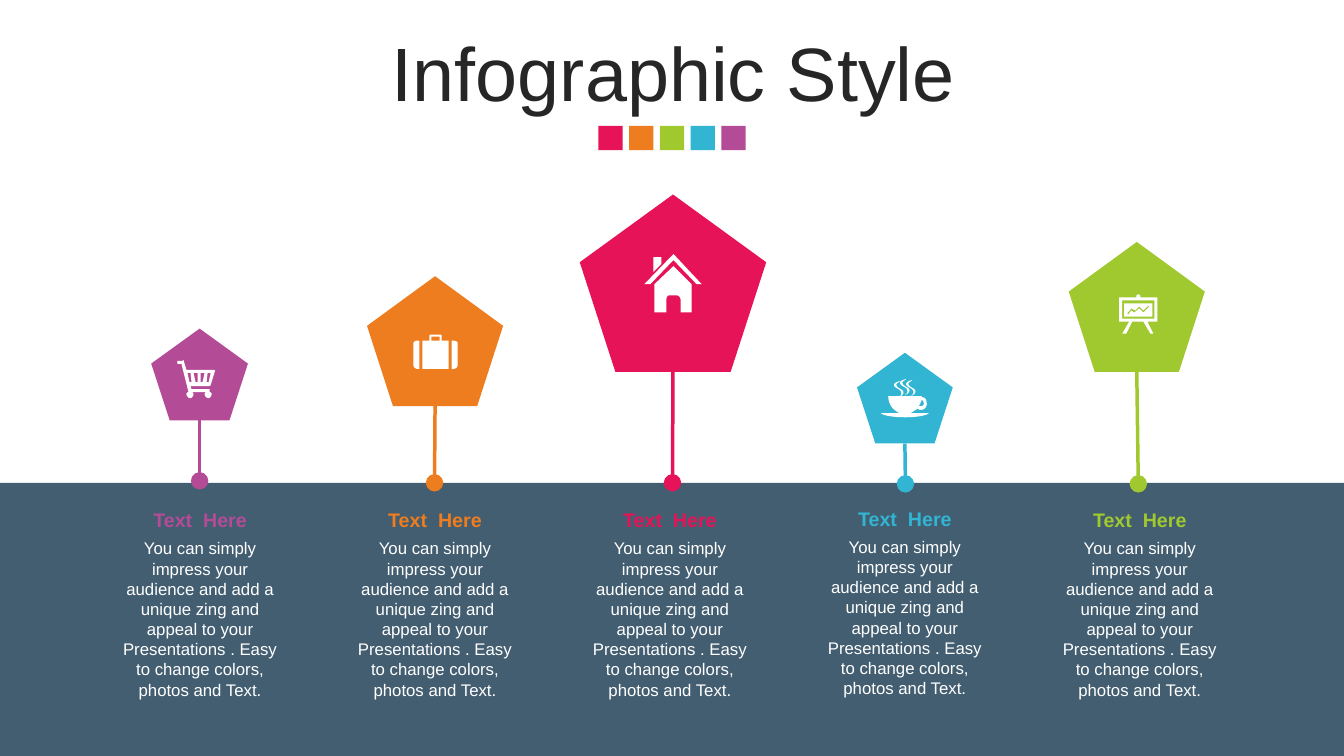
"""Build the five-step pentagon infographic slide."""
from dataclasses import dataclass

from lxml import etree
from pptx import Presentation
from pptx import util as u
from pptx.dml.color import RGBColor
from pptx.enum import shapes, text
from pptx.oxml.ns import qn

COLORS = {
    "pink": "E61358", "orange": "ED7D1F", "green": "A0C82F", "cyan": "32B5D3",
    "purple": "B44B97", "slate": "435E71", "ink": "262626", "white": "FFFFFF",
}
HEADING = "Text  Here"
BODY = ("You can simply impress your audience and add a unique zing and appeal "
        "to your Presentations . Easy to change colors, photos and Text.")
COLUMN_LEFT, COLUMN_PITCH, COLUMN_WIDTH = 1.1, 2.33, 1.77
CURVE_STEPS = 8

Contour = list[tuple[float, ...]]


@dataclass
class Step:
    color: str
    left: float
    top: float
    width: float
    height: float
    stem_end: tuple[float, float]
    icon: list[Contour]
    text_shift: float = 0


def box(left: float, top: float, right: float, bottom: float) -> Contour:
    return [(left, top), (right, top), (right, bottom), (left, bottom)]


def steam(x: float, y: float) -> Contour:
    return [(x, y), (x - 0.02, y + 0.02, x - 0.04, y + 0.02, x - 0.04, y + 0.04),
            (x - 0.03, y + 0.08, x + 0.04, y + 0.08, x + 0.03, y + 0.12),
            (x + 0.02, y + 0.14, x + 0.01, y + 0.15, x - 0.02, y + 0.16),
            (x, y + 0.15, x + 0.01, y + 0.14, x + 0.01, y + 0.12),
            (x + 0.01, y + 0.08, x - 0.04, y + 0.08, x - 0.06, y + 0.05),
            (x - 0.07, y + 0.03, x - 0.05, y + 0.01, x, y)]


CART = [
    [(2.06, 3.7), (2.05, 3.79), (2.07, 3.79), (2.09, 3.7)],
    [(1.99, 3.7), (1.99, 3.79), (2.01, 3.79), (2.03, 3.7)],
    [(1.92, 3.7), (1.94, 3.79), (1.96, 3.79), (1.96, 3.7)],
    [(1.86, 3.7), (1.88, 3.79), (1.9, 3.79), (1.89, 3.7)],
    [(1.82, 3.57), (1.85, 3.67), (2.12, 3.67), (2.13, 3.67, 2.14, 3.68, 2.13, 3.69),
     (2.09, 3.82), (2.09, 3.82, 2.09, 3.83, 2.07, 3.83), (1.89, 3.83), (1.9, 3.86),
     (2.08, 3.86), (2.08, 3.89), (2.09, 3.89, 2.1, 3.9, 2.1, 3.91),
     (2.1, 3.93, 2.08, 3.95, 2.07, 3.95), (2.05, 3.95, 2.03, 3.93, 2.03, 3.91),
     (2.03, 3.9, 2.04, 3.89, 2.05, 3.89), (1.91, 3.89),
     (1.91, 3.9, 1.92, 3.9, 1.92, 3.91), (1.92, 3.93, 1.9, 3.95, 1.89, 3.95),
     (1.87, 3.95, 1.85, 3.93, 1.85, 3.91), (1.85, 3.9, 1.86, 3.89, 1.87, 3.89),
     (1.8, 3.61), (1.76, 3.61), (1.76, 3.58), (1.81, 3.58)],
]
SUITCASE = [
    [(4.48, 3.38), (4.5, 3.38), (4.52, 3.38, 4.54, 3.39, 4.54, 3.41), (4.54, 3.62),
     (4.54, 3.64, 4.52, 3.66, 4.5, 3.66), (4.48, 3.66)],
    [(4.14, 3.38), (4.16, 3.38), (4.16, 3.66), (4.14, 3.66),
     (4.12, 3.66, 4.1, 3.64, 4.1, 3.62), (4.1, 3.41), (4.1, 3.39, 4.12, 3.38, 4.14, 3.38)],
    box(4.28, 3.34, 4.36, 3.38),
    [(4.28, 3.32), (4.36, 3.32), (4.37, 3.32, 4.38, 3.32, 4.38, 3.33), (4.38, 3.38),
     (4.45, 3.38), (4.45, 3.66), (4.19, 3.66), (4.19, 3.38), (4.26, 3.38), (4.26, 3.33),
     (4.26, 3.32, 4.27, 3.32, 4.28, 3.32)],
]
HOUSE = [
    [(6.68, 2.64), (6.86, 2.82), (6.86, 3.1), (6.75, 3.1), (6.75, 2.97),
     (6.75, 2.95, 6.73, 2.93, 6.71, 2.93), (6.64, 2.93),
     (6.62, 2.93, 6.61, 2.95, 6.61, 2.97), (6.61, 3.1), (6.49, 3.1), (6.49, 2.82)],
    [(6.48, 2.55), (6.56, 2.55), (6.56, 2.62), (6.48, 2.7)],
    [(6.68, 2.52), (6.96, 2.82), (6.91, 2.82), (6.68, 2.58), (6.45, 2.82), (6.39, 2.82)],
]
CUP = [
    [(9.14, 3.97), (9.13, 3.99, 9.13, 4.01, 9.11, 4.03), (9.12, 4.03, 9.13, 4.03, 9.14, 4.03),
     (9.16, 4.02, 9.17, 4.01, 9.16, 3.99), (9.16, 3.98, 9.15, 3.97, 9.14, 3.97)],
    [(9.14, 3.93), (9.14, 3.94), (9.17, 3.94, 9.19, 3.96, 9.19, 3.99),
     (9.2, 4.02, 9.18, 4.05, 9.16, 4.06), (9.14, 4.07, 9.11, 4.07, 9.1, 4.05),
     (9.09, 4.07, 9.07, 4.07, 9.06, 4.08), (9.05, 4.09, 9.04, 4.09, 9.03, 4.1),
     (9.21, 4.1), (9.2, 4.12, 9.1, 4.14, 8.98, 4.14), (8.85, 4.14, 8.75, 4.12, 8.74, 4.1),
     (8.92, 4.1), (8.91, 4.09, 8.9, 4.09, 8.89, 4.08), (8.84, 4.05, 8.81, 3.99, 8.81, 3.93)],
    steam(8.93, 3.78), steam(8.99, 3.76), steam(9.05, 3.77),
]
EASEL = [
    [(11.39, 3.03), (11.34, 3.08), (11.3, 3.04), (11.26, 3.08), (11.22, 3.06), (11.18, 3.11),
     (11.19, 3.12), (11.22, 3.08), (11.25, 3.1), (11.3, 3.06), (11.34, 3.1), (11.4, 3.04)],
    box(11.15, 3.01, 11.43, 3.14),
    box(11.13, 2.98, 11.45, 3.16),
    [(11.29, 2.92), (11.3, 2.92, 11.31, 2.93, 11.31, 2.94), (11.31, 2.95), (11.48, 2.95),
     (11.48, 3.19), (11.38, 3.19), (11.44, 3.31), (11.41, 3.31), (11.34, 3.19), (11.23, 3.19),
     (11.17, 3.31), (11.13, 3.31), (11.2, 3.19), (11.1, 3.19), (11.1, 2.95), (11.27, 2.95),
     (11.27, 2.94), (11.27, 2.93, 11.28, 2.92, 11.29, 2.92)],
]
STEPS = [
    Step("purple", 1.5, 3.26, 0.96, 0.91, (1.98, 4.77), CART),
    Step("orange", 3.64, 2.74, 1.35, 1.29, (4.31, 4.79), SUITCASE),
    Step("pink", 5.75, 1.93, 1.85, 1.76, (6.67, 4.79), HOUSE),
    Step("cyan", 8.5, 3.5, 0.95, 0.9, (8.98, 4.8), CUP, -0.015),
    Step("green", 10.6, 2.4, 1.35, 1.29, (11.29, 4.8), EASEL),
]


def paint(shape, color: str) -> None:
    shape.shadow.inherit = False
    shape.fill.solid()
    shape.fill.fore_color.rgb = RGBColor.from_string(COLORS[color])
    shape.line.fill.background()


def add_block(slide, kind, left: float, top: float, width: float, height: float,
              color: str) -> None:
    paint(slide.shapes.add_shape(kind, *map(u.Inches, (left, top, width, height))), color)


def add_text(slide, content: str, left: float, top: float, width: float, height: float, *,
             size: float, color: str, bold: bool = False, line_spacing: float = 1.0,
             anchor=text.MSO_ANCHOR.MIDDLE, fit=text.MSO_AUTO_SIZE.SHAPE_TO_FIT_TEXT) -> None:
    shape = slide.shapes.add_textbox(*map(u.Inches, (left, top, width, height)))
    frame = shape.text_frame
    frame.word_wrap, frame.auto_size, frame.vertical_anchor = True, fit, anchor
    paragraph = frame.paragraphs[0]
    paragraph.alignment = text.PP_ALIGN.CENTER
    paragraph.line_spacing = line_spacing
    run = paragraph.add_run()
    run.text = content
    run.font.name, run.font.size, run.font.bold = "Arial", u.Pt(size), bold
    run.font.color.rgb = RGBColor.from_string(COLORS[color])


def add_stem(slide, step: Step) -> None:
    start = (step.left + step.width / 2, step.top + step.height)
    stem = slide.shapes.add_connector(shapes.MSO_CONNECTOR.STRAIGHT,
                                      *map(u.Inches, start + step.stem_end))
    stem.line.color.rgb = RGBColor.from_string(COLORS[step.color])
    stem.line.width = u.Pt(2.5)
    etree.SubElement(stem.line._get_or_add_ln(), qn("a:tailEnd"), type="oval", w="lg", len="lg")
    etree.SubElement(stem._element.spPr, qn("a:effectLst"))


def flatten(contour: Contour) -> list[tuple[int, int]]:
    points = [contour[0]]
    for segment in contour[1:]:
        if len(segment) == 2:
            points.append(segment)
            continue
        controls = (points[-1], segment[:2], segment[2:4], segment[4:])
        for t in (i / CURVE_STEPS for i in range(1, CURVE_STEPS + 1)):
            weights = ((1 - t) ** 3, 3 * t * (1 - t) ** 2, 3 * t * t * (1 - t), t ** 3)
            points.append(tuple(sum(w * c[axis] for w, c in zip(weights, controls))
                                for axis in (0, 1)))
    return [(u.Inches(x), u.Inches(y)) for x, y in points]


def add_icon(slide, icon: list[Contour]) -> None:
    outlines = [flatten(contour) for contour in icon]
    builder = slide.shapes.build_freeform(*outlines[0][0])
    for index, outline in enumerate(outlines):
        if index:
            builder.move_to(*outline[0])
        builder.add_line_segments(outline[1:], close=True)
    paint(builder.convert_to_shape(), "white")


def main() -> None:
    presentation = Presentation()
    presentation.slide_width, presentation.slide_height = u.Inches(13.33), u.Inches(7.5)
    slide = presentation.slides.add_slide(presentation.slide_layouts[6])
    preset = shapes.MSO_SHAPE
    for index, color in enumerate(("pink", "orange", "green", "cyan", "purple")):
        add_block(slide, preset.RECTANGLE, 5.935 + 0.305 * index, 1.25, 0.24, 0.24, color)
    add_text(slide, "Infographic Style", 0.35, 0.37, 12.66, 0.79, size=54, color="ink",
             line_spacing=0.9, fit=text.MSO_AUTO_SIZE.NONE)
    add_block(slide, preset.RECTANGLE, 0, 4.79, 13.33, 2.71, "slate")
    for index, step in enumerate(STEPS):
        left = COLUMN_LEFT + COLUMN_PITCH * index
        add_text(slide, HEADING, left, 4.99 + step.text_shift, COLUMN_WIDTH, 0.34,
                 size=14, color=step.color, bold=True)
        add_text(slide, BODY, left, 5.29 + step.text_shift, COLUMN_WIDTH, 1.72,
                 size=12, color="white", anchor=text.MSO_ANCHOR.TOP)
        add_block(slide, preset.REGULAR_PENTAGON, step.left, step.top, step.width,
                  step.height, step.color)
        add_stem(slide, step)
        add_icon(slide, step.icon)
    presentation.save("out.pptx")


if __name__ == "__main__":
    main()
